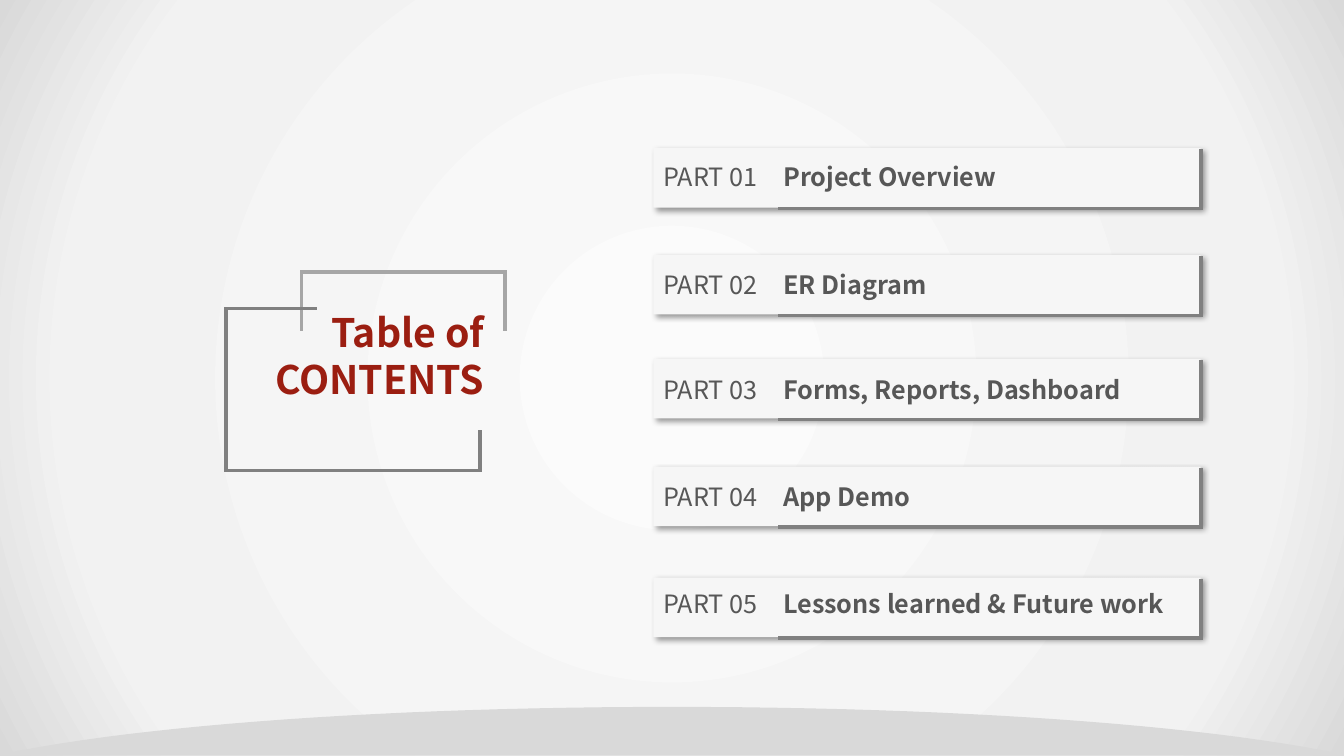
from lxml.etree import SubElement
from pptx import Presentation
from pptx.dml.color import RGBColor
from pptx.enum.shapes import MSO_SHAPE
from pptx.enum.text import MSO_AUTO_SIZE, PP_ALIGN
from pptx.oxml import parse_xml
from pptx.oxml.ns import nsdecls, qn
from pptx.util import Inches, Pt

COLORS = {
    "glow_center": "FBFBFB", "glow_middle": "F2F2F2", "mound": "D9D9D9",
    "card": "F6F6F6", "shadow": "000000", "label": "575757",
    "title": "9B1E11", "frame_light": "A6A6A6", "frame_dark": "808080",
}
FONT = "Noto Sans CJK SC"
TITLE_FORMAT = {"name": FONT, "size": Pt(28), "bold": True}
PART_FORMAT = {"name": FONT, "size": Pt(18), "bold": False}
TOPIC_FORMAT = {"name": FONT, "size": Pt(18), "bold": True}
CONTENTS = [
    ("PART 01", "Project Overview", 1.47, 0.08),
    ("PART 02", "ER Diagram", 2.53, 0.09),
    ("PART 03", "Forms, Reports, Dashboard", 3.56, 0.1),
    ("PART 04", "App Demo", 4.63, 0.1),
    ("PART 05", "Lessons learned & Future work", 5.73, 0.06),
]


def rgb(color):
    """Return the named colour."""
    return RGBColor.from_string(COLORS[color])


def add_rect(slide, left, top, width, height):
    """Add a plain rectangle without outline or shadow."""
    rect = slide.shapes.add_shape(
        MSO_SHAPE.RECTANGLE, Inches(left), Inches(top), Inches(width), Inches(height))
    rect.shadow.inherit = False
    rect.line.fill.background()
    return rect


def add_outline(slide, points, color, weight, closed=False):
    """Draw a path through points given in inches."""
    start, *rest = [(Inches(x), Inches(y)) for x, y in points]
    builder = slide.shapes.build_freeform(*start)
    builder.add_line_segments(rest, close=closed)
    outline = builder.convert_to_shape()
    outline.shadow.inherit = False
    outline.fill.background()
    outline.line.color.rgb = rgb(color)
    outline.line.width = Pt(weight)
    SubElement(outline.line._get_or_add_ln(), qn("a:miter"), lim="800000")
    return outline


def add_textbox(slide, left, top, width, height):
    """Add a wrapping text box that grows with its text."""
    frame = slide.shapes.add_textbox(
        Inches(left), Inches(top), Inches(width), Inches(height)).text_frame
    frame.word_wrap = True
    frame.auto_size = MSO_AUTO_SIZE.SHAPE_TO_FIT_TEXT
    return frame


def add_run(paragraph, text, font_format, color):
    """Append a formatted run to a paragraph."""
    run = paragraph.add_run()
    run.text = text
    for attribute, value in font_format.items():
        setattr(run.font, attribute, value)
    run.font.color.rgb = rgb(color)


def add_backdrop(slide, left, top, width, height):
    """Fill the box with a circular glow and a mound along its foot."""
    glow = add_rect(slide, left, top, width, height)
    stops = "".join(
        f'<a:gs pos="{position}"><a:srgbClr val="{COLORS[color]}"/></a:gs>'
        for position, color in [(0, "glow_center"), (79000, "glow_middle"), (100000, "mound")])
    gradient = parse_xml(
        f'<a:gradFill {nsdecls("a")} rotWithShape="1"><a:gsLst>{stops}</a:gsLst>'
        '<a:path path="circle"><a:fillToRect l="50000" t="50000" r="50000" b="50000"/>'
        '</a:path></a:gradFill>')
    glow._element.spPr.find(qn("a:prstGeom")).addnext(gradient)

    center, foot, crest = left + width / 2, top + height, 0.48
    steps = [step / 24 for step in range(25)]
    slope = [
        (3 * t * (1 - t) ** 2 * 2.8 + 3 * t ** 2 * (1 - t) * 5.25 + t ** 3 * 6.6,
         3 * t ** 2 * (1 - t) * 0.18 + t ** 3 * 0.46)
        for t in steps]
    right_side = [(center + x, foot - crest + y) for x, y in slope]
    left_side = [(center - x, foot - crest + y) for x, y in reversed(slope[1:])]
    corners = [(left + width, foot - 0.01), (left, foot - 0.01)]
    mound = add_outline(slide, right_side + corners + left_side, "mound", 1, closed=True)
    mound.fill.solid()
    mound.fill.fore_color.rgb = rgb("mound")


def add_title(slide, left, top, width, height):
    """Place the heading inside two interlocking open frames."""
    right, bottom = left + width, top + height
    frame = add_textbox(slide, left - 0.83, top + 0.31, 3.49, 1.04)
    for index, line in enumerate(["Table of", "CONTENTS"]):
        paragraph = frame.add_paragraph() if index else frame.paragraphs[0]
        paragraph.alignment = PP_ALIGN.RIGHT
        add_run(paragraph, line, TITLE_FORMAT, "title")
    back_left, back_foot = left + 0.75, top + 0.58
    add_outline(slide, [(back_left, back_foot), (back_left, top), (right, top),
                        (right, back_foot)], "frame_light", 2.5)
    front_right, front_top = right - 0.25, top + 0.36
    add_outline(slide, [(front_right, bottom - 0.4), (front_right, bottom), (left, bottom),
                        (left, front_top), (left + 0.9, front_top)], "frame_dark", 2.5)


def add_entry(slide, part, topic, label_offset, left, top, width, height):
    """Place one contents card with its label and corner rule."""
    card = add_rect(slide, left, top, width, height)
    card.fill.solid()
    card.fill.fore_color.rgb = rgb("card")
    effects = card._element.spPr.find(qn("a:effectLst"))
    effects.append(parse_xml(
        f'<a:outerShdw {nsdecls("a")} blurRad="{Pt(4)}" dist="{Pt(3)}" dir="2700000" '
        f'algn="tl" rotWithShape="0"><a:srgbClr val="{COLORS["shadow"]}">'
        '<a:alpha val="40000"/></a:srgbClr></a:outerShdw>'))

    label = add_textbox(slide, left, top + label_offset, width, 0.4).paragraphs[0]
    tabs = SubElement(label._p.get_or_add_pPr(), qn("a:tabLst"))
    SubElement(tabs, qn("a:tab"), pos=str(Inches(1.19)), algn="l")
    add_run(label, f"{part}\t", PART_FORMAT, "label")
    add_run(label, topic, TOPIC_FORMAT, "label")

    right, rule_top = left + width, top + 0.01
    add_outline(slide, [(right, rule_top), (right, rule_top + height),
                        (left + 1.24, rule_top + height)], "frame_dark", 2.5)


def main():
    """Build and save the contents slide."""
    presentation = Presentation()
    presentation.slide_width = Inches(13.33)
    presentation.slide_height = Inches(7.5)
    slide = presentation.slides.add_slide(presentation.slide_layouts[6])
    add_backdrop(slide, 0, 0, 13.33, 7.5)
    add_title(slide, 2.24, 2.7, 2.77, 1.97)
    for part, topic, top, label_offset in CONTENTS:
        add_entry(slide, part, topic, label_offset, 6.48, top, 5.43, 0.59)
    presentation.save("out.pptx")


if __name__ == "__main__":
    main()
